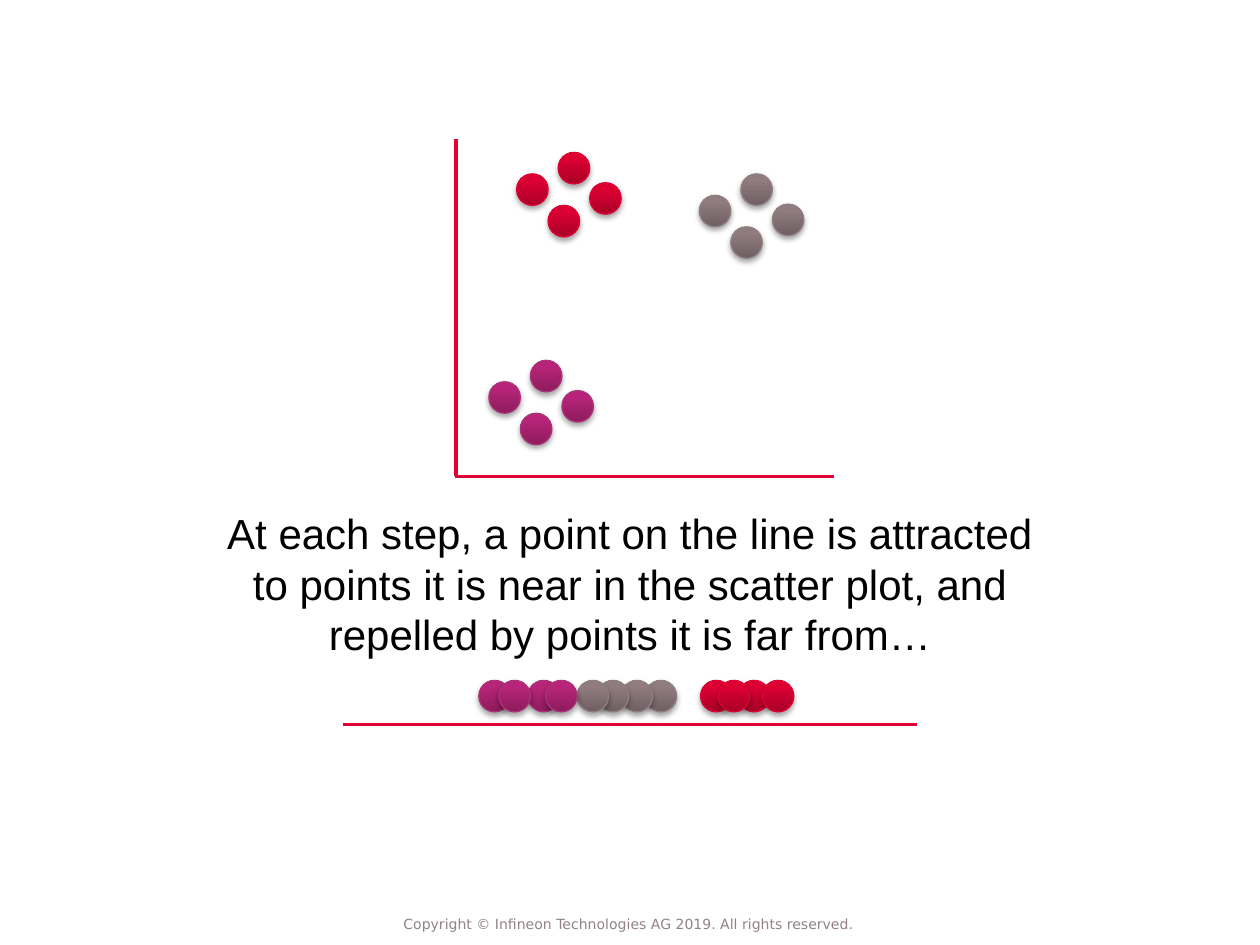
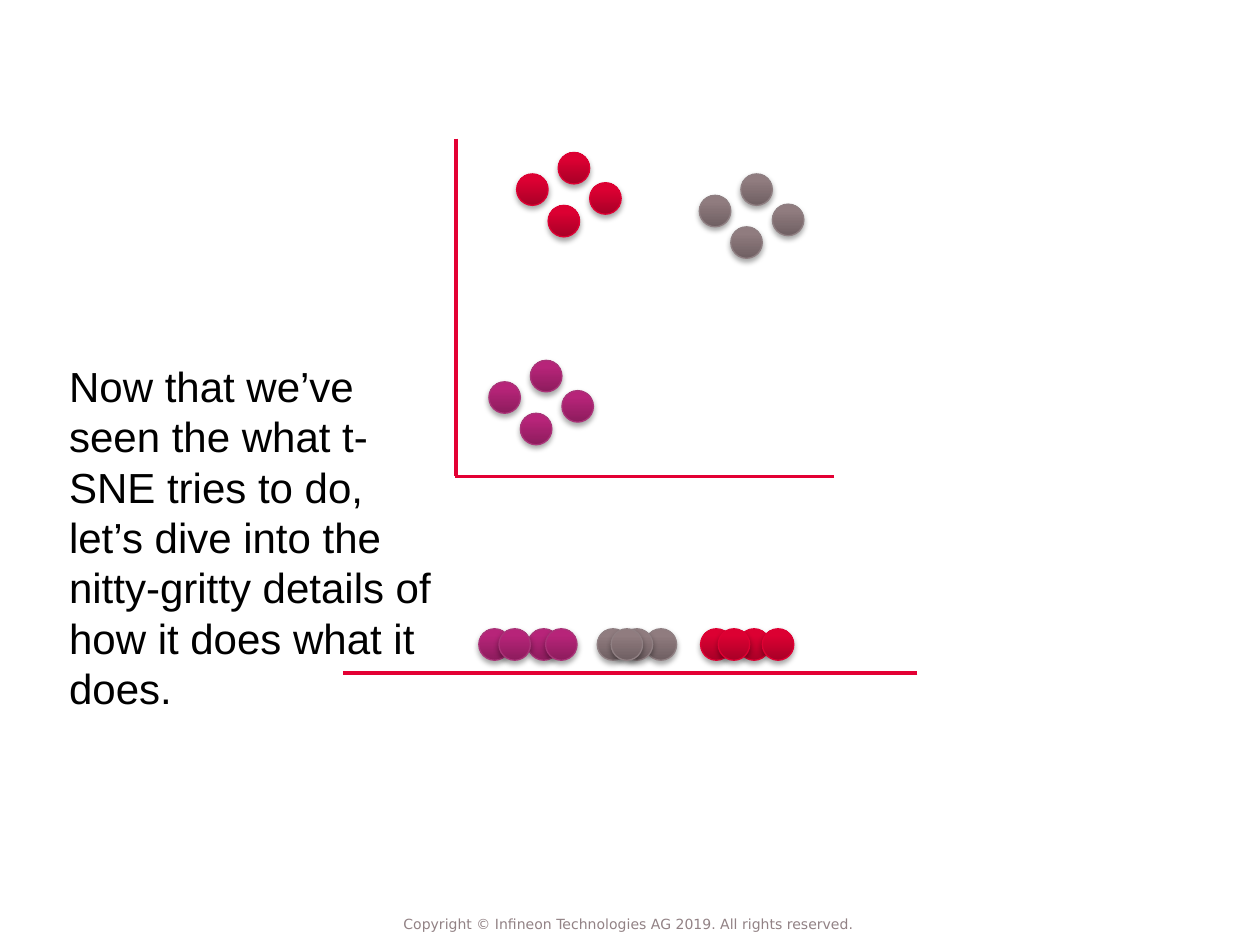
from dataclasses import dataclass

from lxml import etree
from pptx import Presentation
from pptx.dml.color import RGBColor
from pptx.enum import shapes, text
from pptx.oxml import ns
from pptx.util import Inches, Pt

COLORS = {"axis": "E30034", "body": "000000", "footer": "928285", "shadow": "000000"}
BODY_FONT, FOOTER_FONT = "Arial", "DejaVu Sans"
COPYRIGHT = "Copyright © Infineon Technologies AG 2019. All rights reserved."

POINT_SIZE = 0.25
POINT_RISE = 0.35  # top of a projected point above its number line
CLUSTER_OFFSETS = [(0, 0.17), (0.33, 0), (0.25, 0.42), (0.58, 0.24)]


@dataclass(frozen=True)
class Cluster:
    left: float
    top: float
    gradient: tuple[tuple[int, str], ...]
    outline: str
    projected: tuple[float, ...]  # lefts on the number line, back to front


@dataclass(frozen=True)
class Step:
    message: str
    box: tuple[float, float, float, float]
    align: text.PP_ALIGN
    line_y: float
    moving_x: float  # left of the grey point that moves


RED = Cluster(4.1, 1.21, ((0, "A90027"), (80, "DC0032"), (100, "DD0033")),
              "DE0033", (5.86, 6.05, 5.56, 5.7))
PURPLE = Cluster(3.88, 2.86, ((0, "8D1C5D"), (80, "B72479"), (100, "BA227A")),
                 "AA3378", (3.8, 4.19, 3.96, 4.33))
GREY = Cluster(5.55, 1.38, ((0, "6F5F62"), (80, "907C7F"), (100, "917C80")),
               "8F7F82", (5.12, 4.93, 4.74))

STEPS = [
    Step("At each step, a point on the line is attracted to points it is near "
         "in the scatter plot, and repelled by points it is far from…",
         (1.57, 3.98, 6.86, 1.3), text.PP_ALIGN.CENTER, 5.75, 4.58),
    Step("Now that we’ve seen the what t-SNE tries to do, let’s dive into the "
         "nitty-gritty details of how it does what it does.",
         (0.45, 2.81, 3.08, 2.9), text.PP_ALIGN.LEFT, 5.34, 4.85),
]


def add_color_stop(parent, tag: str, color: str, **attributes: str):
    """Append a drawing element that holds one colour and return the colour."""
    holder = etree.SubElement(parent, ns.qn(tag), attributes)
    return etree.SubElement(holder, ns.qn("a:srgbClr"), val=color)


def add_point(parent, left: float, top: float, cluster: Cluster) -> None:
    point = parent.add_shape(shapes.MSO_SHAPE.OVAL, Inches(left), Inches(top),
                             Inches(POINT_SIZE), Inches(POINT_SIZE))
    point.line.color.rgb = RGBColor.from_string(cluster.outline)
    point.line.width = Pt(0.75)

    # Three-stop gradient, dark at the bottom
    point.fill.gradient()
    point.fill.gradient_angle = 90
    properties = point._element.spPr
    stops = properties.find(".//" + ns.qn("a:gsLst"))
    for stop in list(stops):
        stops.remove(stop)
    for position, color in cluster.gradient:
        add_color_stop(stops, "a:gs", color, pos=str(position * 1000))

    # Soft shadow straight down
    point.shadow.inherit = False
    shadow = add_color_stop(properties.find(ns.qn("a:effectLst")), "a:outerShdw",
                            COLORS["shadow"], blurRad=str(Pt(3.1)),
                            dist=str(Pt(1.8)), dir="5400000", rotWithShape="0")
    etree.SubElement(shadow, ns.qn("a:alpha"), val="35000")


def add_line(slide, x1: float, y1: float, x2: float, y2: float) -> None:
    line = slide.shapes.add_connector(shapes.MSO_CONNECTOR.STRAIGHT, Inches(x1),
                                      Inches(y1), Inches(x2), Inches(y2))
    line.line.color.rgb = RGBColor.from_string(COLORS["axis"])
    line.line.width = Pt(2)
    etree.SubElement(line._element.spPr, ns.qn("a:effectLst"))


def add_text(slide, words: str, box: tuple[float, float, float, float],
             align: text.PP_ALIGN, font: str, size: float, color: str):
    frame = slide.shapes.add_textbox(*map(Inches, box)).text_frame
    frame.text = words
    frame.word_wrap = True
    paragraph = frame.paragraphs[0]
    paragraph.alignment = align
    run_font = paragraph.runs[0].font
    run_font.name, run_font.size = font, Pt(size)
    run_font.color.rgb = RGBColor.from_string(color)
    return frame


def add_scatter_plot(slide) -> None:
    for cluster in (RED, PURPLE, GREY):
        group = slide.shapes.add_group_shape()
        for dx, dy in CLUSTER_OFFSETS:
            add_point(group.shapes, cluster.left + dx, cluster.top + dy, cluster)
    add_line(slide, 6.62, 3.78, 3.61, 3.78)
    add_line(slide, 3.62, 1.1, 3.62, 3.78)


def add_number_line(slide, step: Step) -> None:
    add_line(slide, 7.28, step.line_y, 2.72, step.line_y)
    rows = [(GREY, GREY.projected + (step.moving_x,)),
            (RED, RED.projected), (PURPLE, PURPLE.projected)]
    for cluster, lefts in rows:
        for left in lefts:
            add_point(slide.shapes, left, step.line_y - POINT_RISE, cluster)


def add_footer(slide) -> None:
    frame = add_text(slide, COPYRIGHT, (2.99, 7.17, 4, 0.33),
                     text.PP_ALIGN.CENTER, FOOTER_FONT, 8, COLORS["footer"])
    frame.vertical_anchor = text.MSO_ANCHOR.MIDDLE
    frame.margin_left = frame.margin_right = frame.margin_top = frame.margin_bottom = 0


def main() -> None:
    deck = Presentation()
    deck.slide_width, deck.slide_height = Inches(10), Inches(7.5)
    blank = deck.slide_layouts[6]
    for step in STEPS:
        slide = deck.slides.add_slide(blank)
        add_scatter_plot(slide)
        add_number_line(slide, step)
        message = add_text(slide, step.message, step.box, step.align,
                           BODY_FONT, 24, COLORS["body"])
        message.auto_size = text.MSO_AUTO_SIZE.SHAPE_TO_FIT_TEXT
        add_footer(slide)
    deck.save("out.pptx")


if __name__ == "__main__":
    main()
